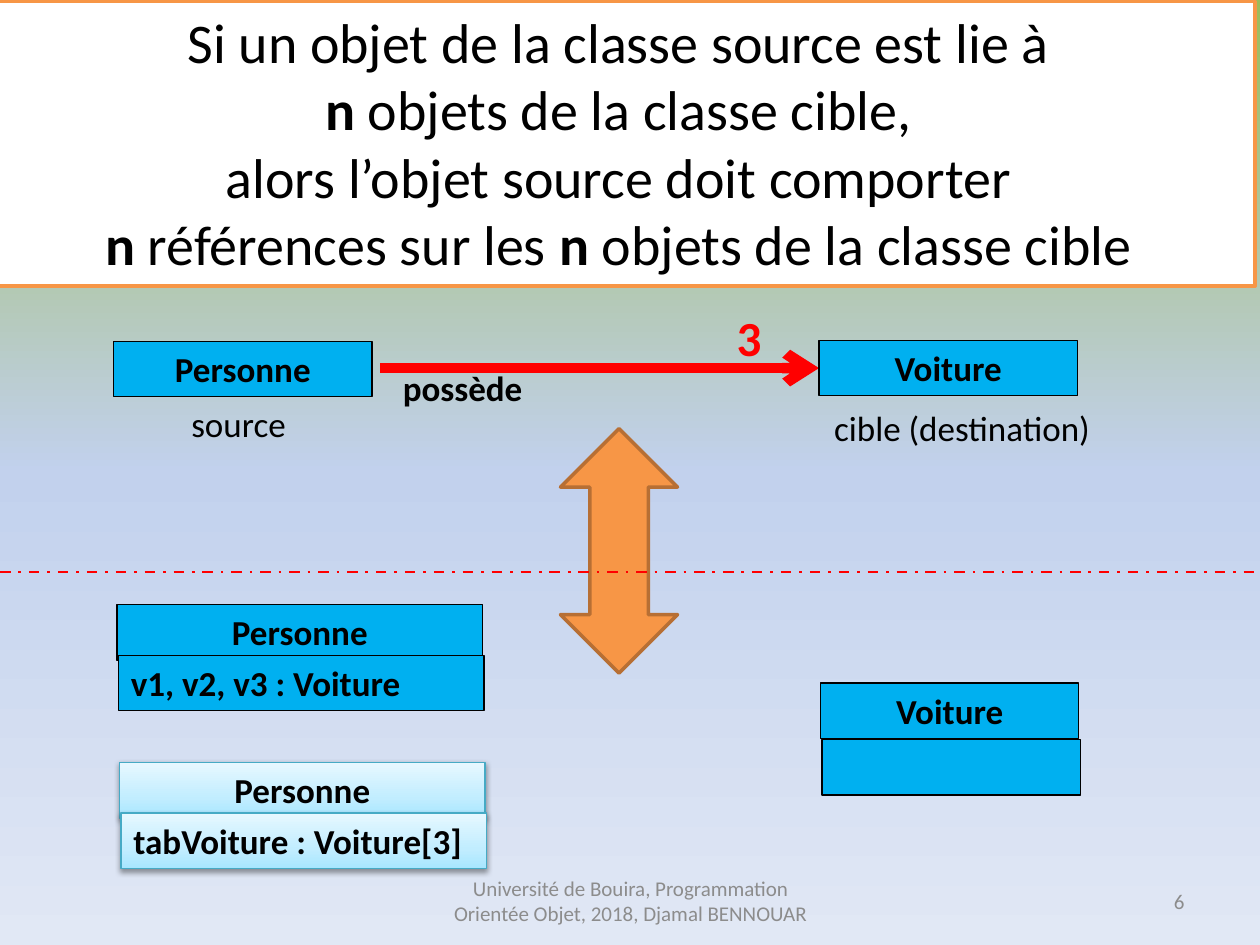
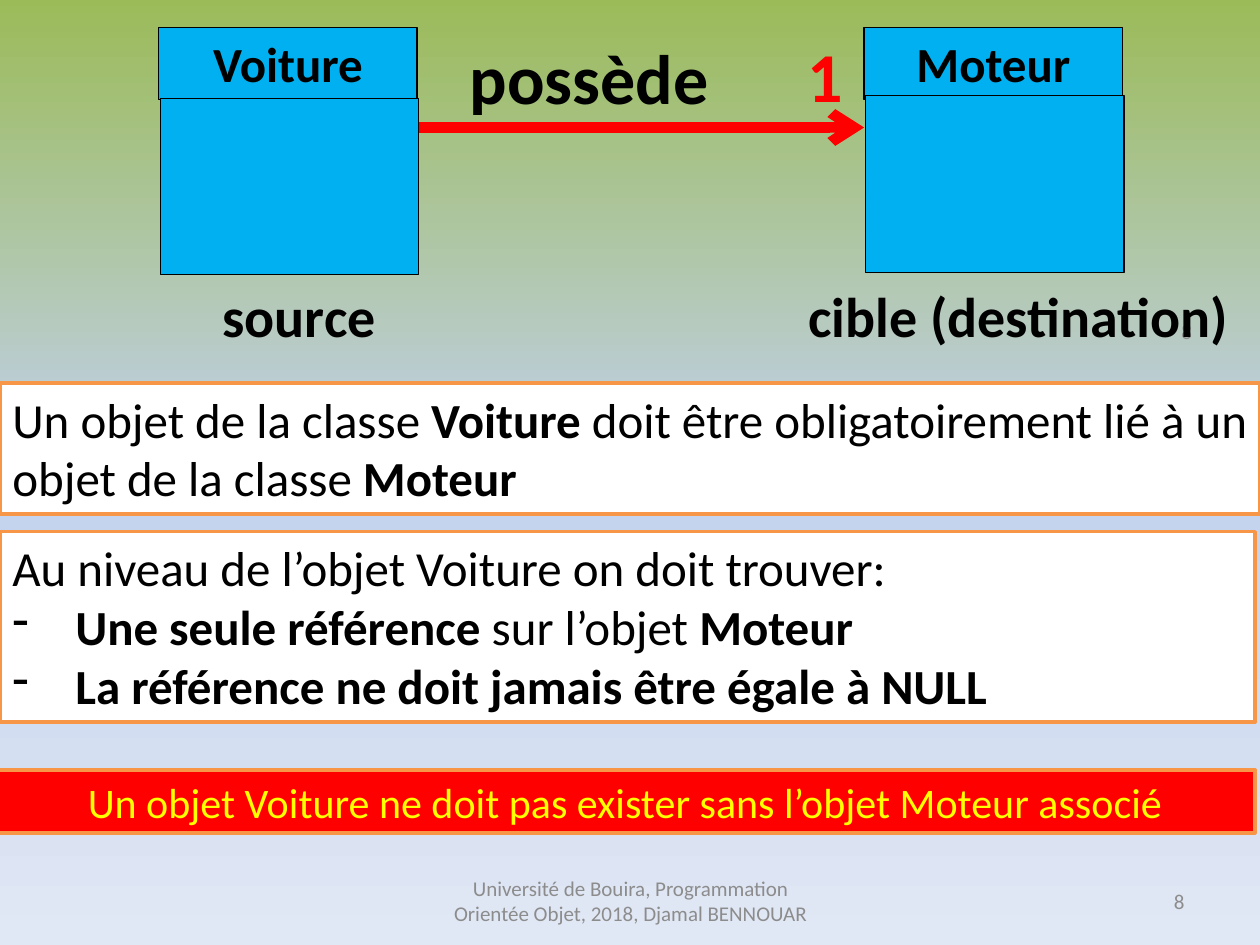
from lxml import etree
from pptx import Presentation
from pptx.dml.color import RGBColor
from pptx.enum.dml import MSO_LINE
from pptx.enum.shapes import MSO_CONNECTOR, MSO_SHAPE
from pptx.enum.text import MSO_ANCHOR, MSO_AUTO_SIZE, PP_ALIGN
from pptx.oxml.ns import qn
from pptx.util import Cm, Pt

LEFT, CENTER, RIGHT = PP_ALIGN.LEFT, PP_ALIGN.CENTER, PP_ALIGN.RIGHT
TOP, MIDDLE = MSO_ANCHOR.TOP, MSO_ANCHOR.MIDDLE
RECT, UP_DOWN = MSO_SHAPE.RECTANGLE, MSO_SHAPE.UP_DOWN_ARROW
GROW = MSO_AUTO_SIZE.SHAPE_TO_FIT_TEXT
STRAIGHT, DASH_DOT = MSO_CONNECTOR.STRAIGHT, MSO_LINE.DASH_DOT

THEME = {
    "font": "Calibri",
    "black": "000000", "white": "FFFFFF", "red": "FF0000", "yellow": "FFFF00",
    "blue": "00B0F0", "orange": "F79646", "brown": "B76F34", "teal": "46AAC5",
    "gray": "8C8C8C",
    "page": [(0, "9BBB59"), (50, "C2D1ED"), (100, "E1E8F5")],
    "pale": [(0, "A7E6FF"), (35, "C1EDFF"), (100, "E7F8FF")],
    "footer": 12, "label": 20, "banner": 24, "body": 28, "title": 32, "big": 40,
}
T = THEME
CLASS = {"fill": T["blue"], "line": T["black"], "bold": True}
PALE = {"fill": T["pale"], "line": T["teal"], "bold": True}
PANEL = {"fill": T["white"], "line": T["orange"], "weight": 2}
BANNER = {**PANEL, "fill": T["red"], "color": T["yellow"]}
FOOTER = {"color": T["gray"], "anchor": MIDDLE}


def gradient(fill, root, stops, angle):
    fill.gradient()
    fill.gradient_angle = angle
    gs_list = root.find(".//" + qn("a:gsLst"))
    for gs in list(gs_list):
        gs_list.remove(gs)
    for pos, color in stops:
        gs = etree.SubElement(gs_list, qn("a:gs"), pos=str(pos * 1000))
        etree.SubElement(gs, qn("a:srgbClr"), val=color)


def box(shapes, at, text="", size=T["label"], fill=None, line=None, weight=0.75,
        color=T["black"], bold=False, align=CENTER, anchor=TOP, form=RECT):
    at = [Cm(v) for v in at]
    if fill is None:
        sp = shapes.add_textbox(*at)
    else:
        sp = shapes.add_shape(form, *at)
        sp.shadow.inherit = False
        sp.line.color.rgb = RGBColor.from_string(line)
        sp.line.width = Pt(weight)
        if isinstance(fill, list):
            gradient(sp.fill, sp._element, fill, 90)
            effects = sp._element.spPr.find(qn("a:effectLst"))
            shadow = etree.SubElement(effects, qn("a:outerShdw"), blurRad="40000",
                                      dist="20000", dir="5400000", rotWithShape="0")
            clr = etree.SubElement(shadow, qn("a:srgbClr"), val=T["black"])
            etree.SubElement(clr, qn("a:alpha"), val="38000")
        else:
            sp.fill.solid()
            sp.fill.fore_color.rgb = RGBColor.from_string(fill)
    if not text:
        return sp
    tf = sp.text_frame
    frame = {"word_wrap": True, "vertical_anchor": anchor}
    if anchor == TOP:
        frame["auto_size"] = GROW
    for key, value in frame.items():
        setattr(tf, key, value)
    for i, words in enumerate(text.split("\n")):
        p = tf.add_paragraph() if i else tf.paragraphs[0]
        p.alignment = align
        if words.startswith("- "):
            words = words[2:]
            pPr = p._p.get_or_add_pPr()
            pPr.set("marL", str(Cm(1.27)))
            pPr.set("indent", str(-Cm(1.27)))
            etree.SubElement(pPr, qn("a:buChar"), char="-")
        for j, part in enumerate(words.split("*")):
            if part:
                r = p.add_run()
                r.text = part
                font = {"name": T["font"], "size": Pt(size), "bold": bold or j % 2 == 1}
                for key, value in font.items():
                    setattr(r.font, key, value)
                r.font.color.rgb = RGBColor.from_string(color)
    return sp


prs = Presentation()
prs.slide_width, prs.slide_height = Cm(25.4), Cm(19.05)

slides = []
for number in ("6", "8"):
    s = prs.slides.add_slide(prs.slide_layouts[6])
    gradient(s.background.fill, s._element, T["page"], 270)
    box(s.shapes, (8.69, 17.65, 8.05, 1.02),
        "Université de Bouira, Programmation Orientée Objet, 2018, Djamal BENNOUAR",
        T["footer"], **FOOTER)
    box(s.shapes, (18.21, 17.65, 5.92, 1.02), number, T["footer"], align=RIGHT, **FOOTER)
    slides.append(s)
many, single = [s.shapes for s in slides]

box(single, (18.36, 6.17, 5.92, 1.02), "8", T["footer"], align=RIGHT, **FOOTER)
box(many, (11.3, 8.64, 2.36, 4.93), fill=T["orange"], line=T["brown"], weight=2, form=UP_DOWN)

lines = []
for shapes, x1, x2, y, weight, is_arrow in (
    (many, 7.67, 16.51, 7.42, 6, True),
    (many, 0, 25.4, 11.53, 1.5, False),
    (single, 8.41, 17.42, 2.57, 6, True),
):
    c = shapes.add_connector(STRAIGHT, Cm(x1), Cm(y), Cm(x2), Cm(y))
    c.line.color.rgb = RGBColor.from_string(T["red"])
    c.line.width = Pt(weight)
    if is_arrow:
        etree.SubElement(c.line._get_or_add_ln(), qn("a:tailEnd"), type="arrow")
    else:
        c.line.dash_style = DASH_DOT
    etree.SubElement(c._element.spPr, qn("a:effectLst"))
    lines.append(c)

box(many, (-0.1, 0.03, 25.4, 5.74),
    "Si un objet de la classe source est lie à \n"
    "*n* objets de la classe cible, \n"
    "alors l’objet source doit comporter \n"
    "*n* références sur les *n* objets de la classe cible ", T["title"], **PANEL)
box(many, (2.29, 6.88, 5.21, 1.12), "Personne", **CLASS)
target = box(many, (16.51, 6.86, 5.21, 1.12), "Voiture", **CLASS)
lines[0].end_connect(target, 1)

for shapes, at, text, size, style in (
    (many, (7.87, 7.26, 6.05, 1.12), "possède", T["label"], {"bold": True, "align": LEFT}),
    (many, (14.6, 6.07, 2.06, 1.45), "3", T["body"],
     {"bold": True, "align": LEFT, "color": T["red"]}),
    (many, (2.06, 7.98, 5.66, 1.12), "source ", T["label"], {}),
    (many, (14.81, 8.08, 9.17, 1.12), "cible (destination)", T["label"], {}),
    (single, (9.22, 0.58, 6.05, 1.96), "possède", T["big"], {"bold": True, "align": LEFT}),
    (single, (16.03, 0.53, 2.06, 1.96), "1", T["big"],
     {"bold": True, "align": LEFT, "color": T["red"]}),
    (single, (0.51, 5.56, 11.3, 1.63), "source ", T["title"], {"bold": True}),
    (single, (15.95, 5.56, 9.17, 1.63), "cible (destination)", T["title"], {"bold": True}),
):
    box(shapes, at, text, size, **style)

for shapes, x, y, w, head_h, step, body_h, name, attributes, size, style in (
    (many, 2.36, 12.19, 7.37, 1.12, 1.02, 1.12, "Personne", "v1, v2, v3 : Voiture",
     T["label"], CLASS),
    (many, 16.54, 13.77, 5.21, 1.12, 1.14, 1.12, "Voiture", "", T["label"], CLASS),
    (many, 2.41, 15.37, 7.37, 1.12, 1.02, 1.12, "Personne", "tabVoiture : Voiture[3]",
     T["label"], PALE),
    (single, 3.2, 0.56, 5.21, 1.45, 1.42, 3.56, "Voiture", "", T["body"], CLASS),
    (single, 17.42, 0.56, 5.21, 1.45, 1.37, 3.56, "Moteur", "", T["body"], CLASS),
):
    group = shapes.add_group_shape().shapes
    box(group, (x, y, w, head_h), name, size, **style)
    box(group, (x + 0.03, y + step, w, body_h), attributes, size, align=LEFT, **style)

box(single, (0, 7.72, 25.4, 2.64),
    "Un objet de la classe *Voiture* doit être obligatoirement lié à un "
    "objet de la classe *Moteur*", T["body"], align=LEFT, **PANEL)
box(single, (0, 10.72, 25.3, 3.84),
    "Au niveau de l’objet Voiture on doit trouver:\n"
    "- *Une seule référence* sur l’objet *Moteur*\n"
    "- *La référence ne doit jamais être égale à NULL*", T["body"], align=LEFT, **PANEL)
box(single, (-0.1, 15.52, 25.4, 1.27),
    "Un objet Voiture ne doit pas exister sans l’objet Moteur associé", T["banner"], **BANNER)

prs.save("out.pptx")
